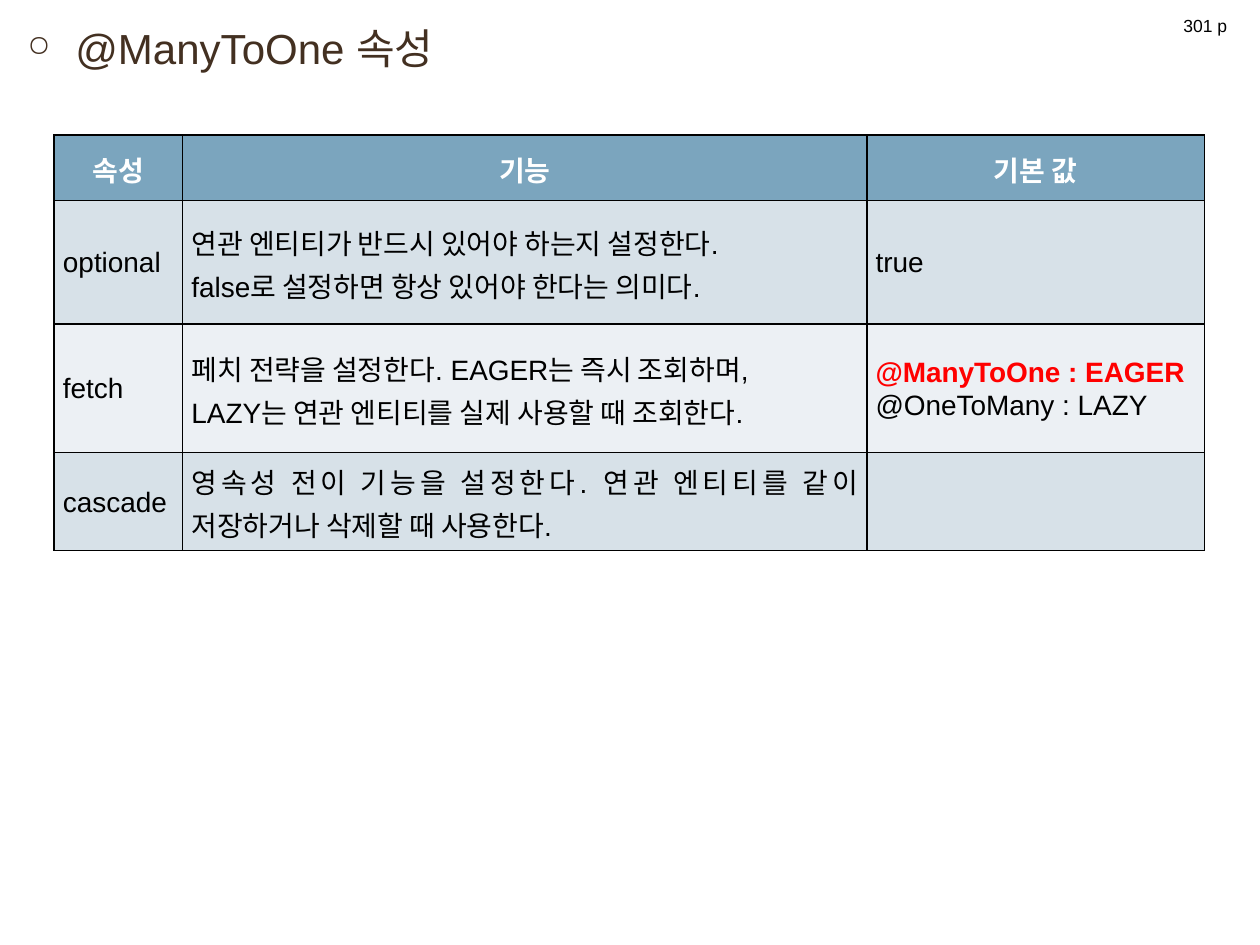
from dataclasses import dataclass

from lxml import etree
from pptx import Presentation
from pptx.dml.color import RGBColor
from pptx.enum import shapes, text
from pptx.oxml import ns
from pptx.util import Inches, Pt

FONT = "Arial"
BLACK = RGBColor(0x00, 0x00, 0x00)
WHITE = RGBColor(0xFF, 0xFF, 0xFF)
RED = RGBColor(0xFF, 0x00, 0x00)
BROWN = RGBColor(0x43, 0x30, 0x21)
HEADER_BLUE = RGBColor(0x7B, 0xA5, 0xBE)
BAND_DARK = RGBColor(0xD7, 0xE1, 0xE8)
BAND_LIGHT = RGBColor(0xEC, 0xF0, 0xF4)
COL_WIDTHS = (1.02, 5.43, 2.68)


@dataclass(frozen=True)
class Line:
    text: str
    color: RGBColor = BLACK
    bold: bool = False


@dataclass(frozen=True)
class Row:
    height: float
    fill: RGBColor
    align: text.PP_ALIGN
    cells: tuple[tuple[Line, ...], ...]


ROWS = (
    Row(0.52, HEADER_BLUE, text.PP_ALIGN.CENTER,
        tuple((Line(name, WHITE, True),) for name in ("속성", "기능", "기본 값"))),
    Row(0.98, BAND_DARK, text.PP_ALIGN.JUSTIFY, (
        (Line("optional"),),
        (Line("연관 엔티티가 반드시 있어야 하는지 설정한다. "),
         Line("false로 설정하면 항상 있어야 한다는 의미다.")),
        (Line("true"),))),
    Row(1.02, BAND_LIGHT, text.PP_ALIGN.JUSTIFY, (
        (Line("fetch"),),
        (Line("페치 전략을 설정한다. EAGER는 즉시 조회하며, "),
         Line("LAZY는 연관 엔티티를 실제 사용할 때 조회한다. ")),
        (Line("@ManyToOne : EAGER", RED, True), Line("@OneToMany : LAZY")))),
    Row(0.78, BAND_DARK, text.PP_ALIGN.JUSTIFY, (
        (Line("cascade"),),
        (Line("영속성 전이 기능을 설정한다. 연관 엔티티를 같이 저장하거나 삭제할 때 사용한다. "),),
        ())),
)


def add_run(p, line: Line, size: float) -> None:
    r = p.add_run()
    r.text = line.text
    r.font.name = FONT
    r.font.size = Pt(size)
    r.font.bold = line.bold
    r.font.color.rgb = line.color


def add_bullet(p, char: str, percent: int, indent: float) -> None:
    pPr = p._p.get_or_add_pPr()
    pPr.set("marL", str(Inches(indent)))
    pPr.set("indent", str(-Inches(indent)))
    etree.SubElement(pPr, ns.qn("a:buSzPct"), val=str(percent * 1000))
    etree.SubElement(pPr, ns.qn("a:buChar"), char=char)


def add_borders(cell, color: RGBColor, width: float) -> None:
    tcPr = cell._tc.get_or_add_tcPr()
    for i, side in enumerate(("lnL", "lnR", "lnT", "lnB")):
        ln = etree.Element(ns.qn(f"a:{side}"), w=str(Pt(width)))
        fill = etree.SubElement(ln, ns.qn("a:solidFill"))
        etree.SubElement(fill, ns.qn("a:srgbClr"), val=str(color))
        tcPr.insert(i, ln)


def add_heading(s) -> None:
    tf = s.shapes.add_textbox(Inches(0.12), Inches(0.13), Inches(9.76), Inches(7.24)).text_frame
    tf.word_wrap = True
    p = tf.paragraphs[0]
    p.space_before = Pt(4.8)
    add_bullet(p, "○", 70, 0.38)
    add_run(p, Line("@ManyToOne 속성", BROWN), 24)


def fill_cell(cell, row: Row, lines: tuple[Line, ...]) -> None:
    cell.fill.solid()
    cell.fill.fore_color.rgb = row.fill
    add_borders(cell, BLACK, 1)
    cell.vertical_anchor = text.MSO_ANCHOR.MIDDLE
    cell.margin_left = cell.margin_right = Inches(0.07)
    cell.margin_top = cell.margin_bottom = Inches(0)
    tf = cell.text_frame
    for i, line in enumerate(lines):
        p = tf.add_paragraph() if i else tf.paragraphs[0]
        p.alignment = row.align
        p.line_spacing = 1.07
        add_run(p, line, 16)


def add_attribute_table(s) -> None:
    table = s.shapes.add_table(
        len(ROWS), len(COL_WIDTHS), Inches(0.43), Inches(1.07),
        Inches(sum(COL_WIDTHS)), Inches(sum(row.height for row in ROWS))).table
    table.first_row = table.horz_banding = False
    for column, width in zip(table.columns, COL_WIDTHS):
        column.width = Inches(width)
    for i, row in enumerate(ROWS):
        table.rows[i].height = Inches(row.height)
        for j, lines in enumerate(row.cells):
            fill_cell(table.cell(i, j), row, lines)


def add_page_label(s) -> None:
    sp = s.shapes.add_shape(
        shapes.MSO_SHAPE.RECTANGLE, Inches(9.17), Inches(0.05), Inches(0.79), Inches(0.31))
    sp.shadow.inherit = False
    sp.fill.solid()
    sp.fill.fore_color.rgb = WHITE
    sp.line.color.rgb = WHITE
    sp.line.width = Pt(1.25)
    tf = sp.text_frame
    tf.vertical_anchor = text.MSO_ANCHOR.MIDDLE
    p = tf.paragraphs[0]
    p.alignment = text.PP_ALIGN.CENTER
    add_run(p, Line("301 p"), 10)


def main() -> None:
    prs = Presentation()
    prs.slide_width, prs.slide_height = Inches(10), Inches(7.5)
    s = prs.slides.add_slide(prs.slide_layouts[6])
    add_heading(s)
    add_attribute_table(s)
    add_page_label(s)
    prs.save("out.pptx")


if __name__ == "__main__":
    main()
